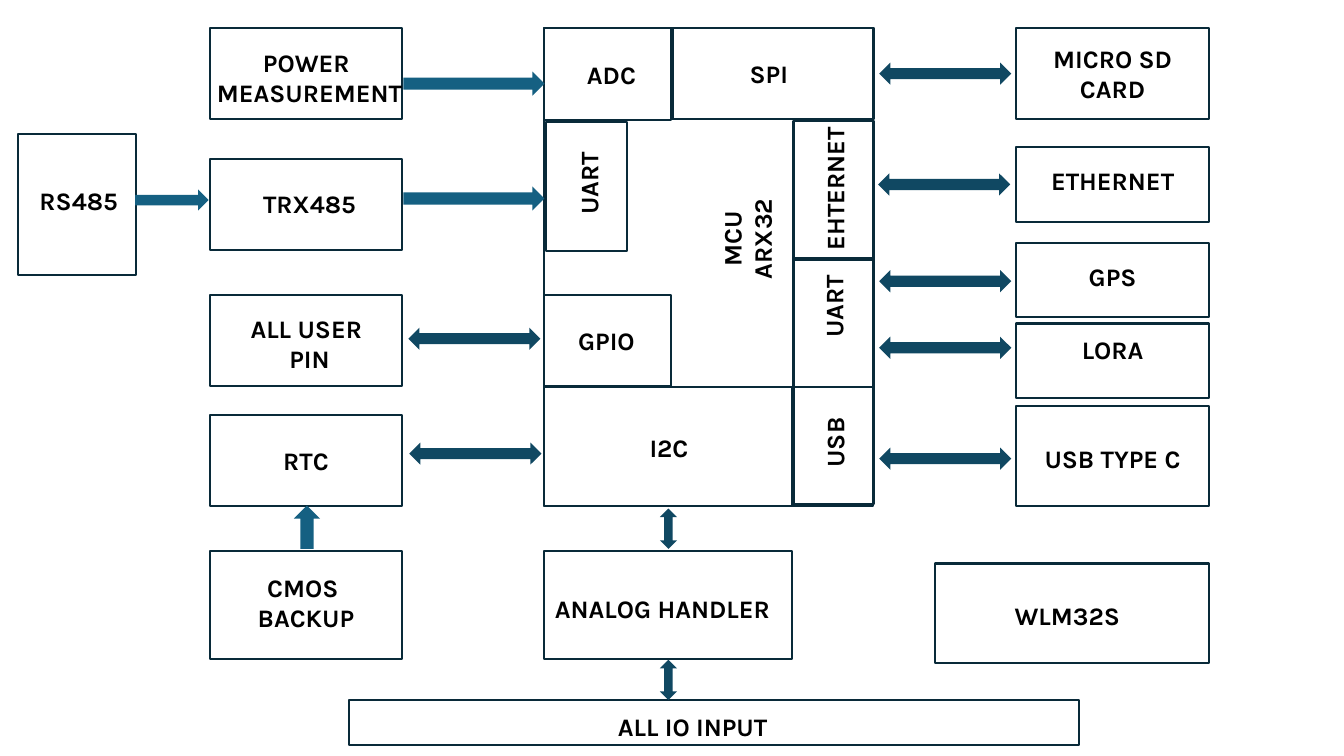
from pptx import Presentation
from pptx.dml.color import RGBColor
from pptx.enum.shapes import MSO_SHAPE as Preset
from pptx.enum.text import MSO_AUTO_SIZE as AutoSize, PP_ALIGN as Align
from pptx.util import Emu, Pt

PX = 9144  # 100 px to the inch
FONT = "Karla"
BLACK = RGBColor(0x00, 0x00, 0x00)
OUTLINE = RGBColor(0x09, 0x2A, 0x39)
TWO_WAY = RGBColor(0x10, 0x48, 0x62)
ONE_WAY = RGBColor(0x15, 0x60, 0x82)

LEFT_COLUMN, RIGHT_COLUMN, COLUMN_WIDTH = 208, 1008, 191
MCU_LEFT, PORT_LEFT = 540, 787
LABEL_WIDTH, LABEL_HEIGHT, LINE_HEIGHT = 161, 40, 31

# Text, box top, box height, label left, label top, label width
LEFT_BLOCKS = [
    ("POWER \nMEASUREMENT", 28, 90, 202, 42, 210),
    ("TRX485", 158, 90, 202, 182, 210),
    ("ALL USER \nPIN", 293, 90, 202, 306, 210),
    ("RTC", 412, 90, 223, 437, LABEL_WIDTH),
    ("CMOS \nBACKUP", 547, 107, 223, 563, LABEL_WIDTH),
]
# Text, box top, box height, label top
RIGHT_BLOCKS = [
    ("MICRO SD CARD", 28, 90, 38),
    ("ETHERNET", 146, 74, 159),
    ("GPS", 241, 74, 254),
    ("LORA", 321, 74, 327),
    ("USB TYPE C", 403, 99, 435),
]
# Text, box (left, top, width, height), label (left, top, width)
OTHER_BLOCKS = [
    ("ADC", (MCU_LEFT, 28, 126, 91), (526, 54, LABEL_WIDTH)),
    ("SPI", (667, 28, 200, 90), (682, 53, LABEL_WIDTH)),
    ("GPIO", (MCU_LEFT, 293, 126, 90), (521, 318, LABEL_WIDTH)),
    ("I2C", (MCU_LEFT, 384, 246, 118), (583, 424, LABEL_WIDTH)),
    ("ANALOG HANDLER", (MCU_LEFT, 547, 246, 107), (534, 584, 246)),
    ("ALL IO INPUT", (346, 694, 724, 45), (447, 701, 480)),
    ("RS485", (18, 133, 117, 140), (-27, 179, 210)),
    ("WLM32S", (927, 559, 272, 99), (933, 591, 251)),
]
# Text, box (left, top, width, height), label (left, top)
UPRIGHT_PORTS = [
    ("UART", (542, 121, 80, 128), (503, 162)),
    ("EHTERNET", (PORT_LEFT, 120, 80, 138), (747, 167)),
    ("UART", (PORT_LEFT, 256, 80, 128), (746, 284)),
    ("USB", (PORT_LEFT, 384, 80, 116), (747, 419)),
]
TWO_WAY_PLACES = [
    (872, 62), (871, 172), (872, 268), (872, 334), (872, 444),
    (405, 325), (406, 439),
]


def px(*lengths):
    return [Emu(length * PX) for length in lengths]


def add_box(slide, left, top, width, height):
    shape = slide.shapes.add_shape(Preset.RECTANGLE, *px(left, top, width, height))
    shape.shadow.inherit = False
    shape.fill.background()
    shape.line.color.rgb = OUTLINE
    shape.line.width = Pt(1.5)


def add_label(slide, text, left, top, width=LABEL_WIDTH, height=LABEL_HEIGHT, rotation=0):
    shape = slide.shapes.add_textbox(*px(left, top, width, height))
    shape.rotation = rotation
    frame = shape.text_frame
    frame.word_wrap = True
    frame.auto_size = AutoSize.SHAPE_TO_FIT_TEXT
    for index, line in enumerate(text.split("\n")):
        paragraph = frame.add_paragraph() if index else frame.paragraphs[0]
        paragraph.alignment = Align.CENTER
        run = paragraph.add_run()
        run.text = line
        run.font.name = FONT
        run.font.size = Pt(18)
        run.font.bold = True
        run.font.color.rgb = BLACK


def add_arrow(slide, preset, color, left, top, width, height, rotation=0):
    shape = slide.shapes.add_shape(preset, *px(left, top, width, height))
    shape.shadow.inherit = False
    shape.fill.solid()
    shape.fill.fore_color.rgb = color
    shape.line.fill.background()
    shape.rotation = rotation


def add_blocks(slide):
    # Outer columns
    for text, top, height, label_left, label_top, label_width in LEFT_BLOCKS:
        add_box(slide, LEFT_COLUMN, top, COLUMN_WIDTH, height)
        label_height = LABEL_HEIGHT + LINE_HEIGHT * text.count("\n")
        add_label(slide, text, label_left, label_top, label_width, label_height)
    for text, top, height, label_top in RIGHT_BLOCKS:
        add_box(slide, RIGHT_COLUMN, top, COLUMN_WIDTH, height)
        label_height = LABEL_HEIGHT + LINE_HEIGHT * (text == "MICRO SD CARD")
        add_label(slide, text, RIGHT_COLUMN + 15, label_top, height=label_height)

    # Controller with its ports, and the blocks around it
    add_box(slide, MCU_LEFT, 28, 326, 474)
    add_label(slide, "MCU\nARX32", 645, 217, rotation=270)
    for text, box, label in OTHER_BLOCKS:
        add_box(slide, *box)
        add_label(slide, text, *label)
    for text, box, label in UPRIGHT_PORTS:
        add_box(slide, *box)
        add_label(slide, text, *label, rotation=270)


def add_arrows(slide):
    # Two-way links
    for left, top in TWO_WAY_PLACES:
        add_arrow(slide, Preset.LEFT_RIGHT_ARROW, TWO_WAY, left, top, 131, 22)
    for top in (516, 666):
        add_arrow(slide, Preset.LEFT_RIGHT_ARROW, TWO_WAY, 643, top, 40, 17, 270)

    # One-way links
    for top in (71, 185):
        add_arrow(slide, Preset.RIGHT_ARROW, ONE_WAY, 400, top, 140, 24)
    add_arrow(slide, Preset.RIGHT_ARROW, ONE_WAY, 134, 188, 73, 21)
    add_arrow(slide, Preset.RIGHT_ARROW, ONE_WAY, 283, 510, 43, 26, 270)


def main():
    presentation = Presentation()
    presentation.slide_width, presentation.slide_height = px(1333, 750)
    slide = presentation.slides.add_slide(presentation.slide_layouts[6])
    add_blocks(slide)
    add_arrows(slide)
    presentation.save("out.pptx")


if __name__ == "__main__":
    main()
